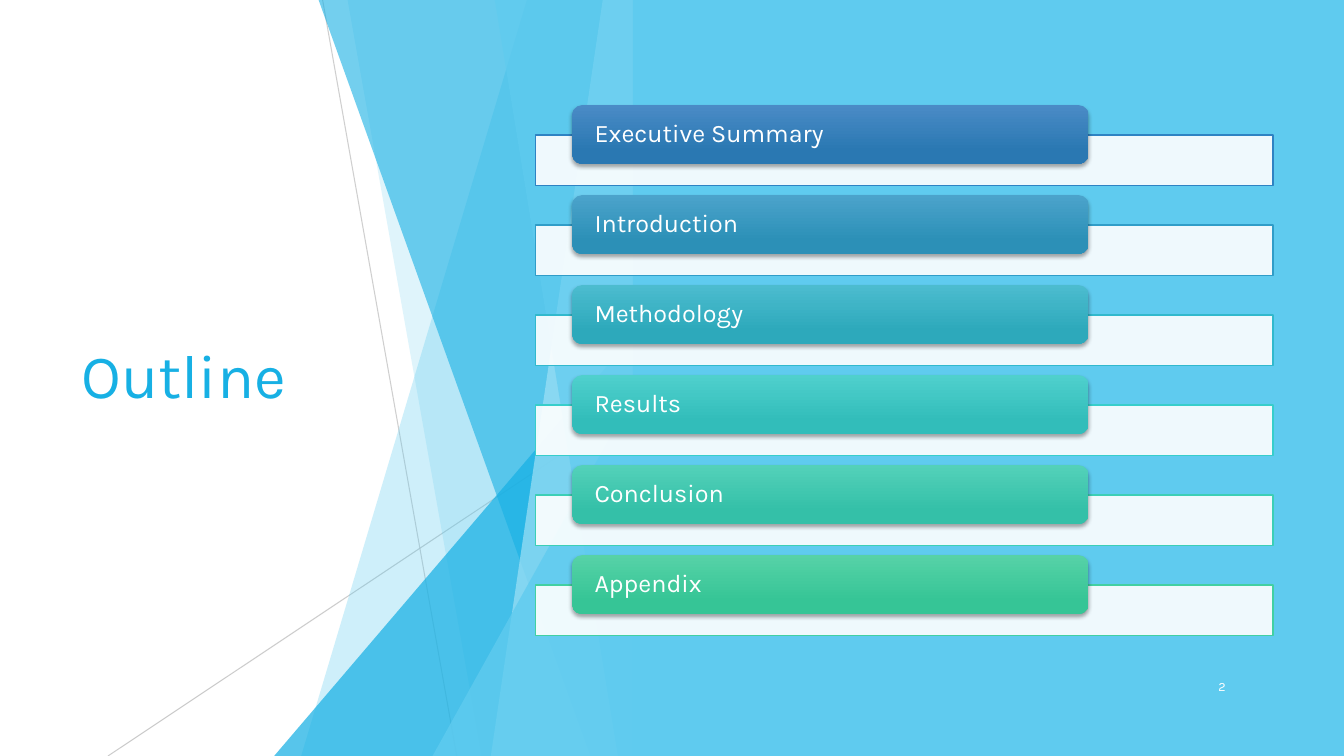
from dataclasses import dataclass

from pptx import Presentation
from pptx import util as u
from pptx.dml.color import RGBColor
from pptx.enum import shapes, text
from pptx.oxml import ns
from lxml import etree


@dataclass(frozen=True)
class Theme:
    """Colours, font and type sizes of the deck."""
    font: str = "Karla"
    white: str = "FFFFFF"
    sky: str = "5FCBEF"
    blue: str = "17B0E4"
    pale: str = "9FE0F5"
    grey: str = "BFBFBF"
    black: str = "000000"
    title: int = 44
    item: int = 18
    number: int = 9


T = Theme()

SECTIONS = [
    ("Executive Summary", "2E83C3", "4A8BC6", "2A78B2"),
    ("Introduction", "309DC8", "4BA3CB", "2C90B7"),
    ("Methodology", "31B9CD", "4CBCCF", "2DA9BB"),
    ("Results", "37CECB", "4FD0CD", "32BDBA"),
    ("Conclusion", "3CCFB6", "53D1B9", "34C0A8"),
    ("Appendix", "42D0A2", "56D2A7", "36C596"),
]


def add(parent, tag, **attrs):
    """Append a DrawingML child element."""
    return etree.SubElement(parent, ns.qn(tag), attrs)


def set_alpha(sp, percent):
    """Make the first solid colour of a shape or line translucent."""
    color = next(sp._element.spPr.iter(ns.qn("a:srgbClr")))
    add(color, "a:alpha", val=str(percent * 1000))


def paint(sp, color, alpha=100):
    """Give a shape a flat fill without outline or shadow."""
    sp.shadow.inherit = False
    sp.fill.solid()
    sp.fill.fore_color.rgb = RGBColor.from_string(color)
    sp.line.fill.background()
    if alpha < 100:
        set_alpha(sp, alpha)


def write(tf, words, size, color, align=text.PP_ALIGN.LEFT, spacing=None):
    """Fill a text frame with one vertically centred paragraph."""
    tf.word_wrap = True
    tf.auto_size = text.MSO_AUTO_SIZE.NONE
    tf.vertical_anchor = text.MSO_ANCHOR.MIDDLE
    p = tf.paragraphs[0]
    p.text = words
    p.alignment = align
    p.line_spacing = spacing
    p.space_after = u.Pt(6)
    p.font.name = T.font
    p.font.size = u.Pt(size)
    p.font.color.rgb = RGBColor.from_string(color)


def thin_line(s, x1, y1, x2, y2, alpha):
    """Draw a translucent grey hairline."""
    c = s.shapes.add_connector(shapes.MSO_CONNECTOR.STRAIGHT,
                               u.Cm(x1), u.Cm(y1), u.Cm(x2), u.Cm(y2))
    c.line.color.rgb = RGBColor.from_string(T.grey)
    c.line.width = u.Pt(0.75)
    set_alpha(c, alpha)
    add(c._element.spPr, "a:effectLst")


def facet(s, box, top_x, bottom_x, color, alpha):
    """Draw a facet from a slanted left edge to the right side of the box."""
    x, y, w, h = box
    points = [(top_x, 0), (w, 0), (w, h), (bottom_x, h)]
    corners = [(u.Cm(x + dx), u.Cm(y + dy)) for dx, dy in points]
    builder = s.shapes.build_freeform(*corners[0], scale=1.0)
    builder.add_line_segments(corners[1:], close=True)
    paint(builder.convert_to_shape(), color, alpha)


def wedge(s, box, dx, dy, color, alpha):
    """Draw a right triangle filling the lower right corner of the box."""
    x, y, w, h = box
    sp = s.shapes.add_shape(shapes.MSO_SHAPE.ISOSCELES_TRIANGLE,
                            u.Cm(x + dx), u.Cm(y + dy),
                            u.Cm(w - dx), u.Cm(h - dy))
    sp.adjustments[0] = 1
    paint(sp, color, alpha)


def backdrop(s, box):
    """Layer the hairlines and translucent facets in the box."""
    x, y, w, h = box
    thin_line(s, x + 5.41, y, x + 8.79, y + h, 75)
    thin_line(s, x + w, y + 10.24, x, y + h, 80)
    layers = [
        (facet, 10.56, 4.87, T.sky, 30),
        (facet, 6.04, 9.42, T.sky, 20),
        (wedge, 4.19, 8.46, T.blue, 72),
        (facet, 5.31, 12.16, T.blue, 60),
        (facet, 12.47, 9.65, T.pale, 70),
        (facet, 9.75, 12.85, T.sky, 65),
        (wedge, 8.18, 9.98, T.sky, 80),
    ]
    for draw, a, b, color, alpha in layers:
        draw(s, box, a, b, color, alpha)


def title(s, box):
    """Place and format the title placeholder."""
    sp = s.shapes.title
    sp.left, sp.top, sp.width, sp.height = map(u.Cm, box)
    write(sp.text_frame, "Outline", T.title, T.blue, spacing=0.9)


def panel(s, box):
    """Draw the plain panel on the right."""
    sp = s.shapes.add_shape(shapes.MSO_SHAPE.RECTANGLE, *map(u.Cm, box))
    paint(sp, T.sky)


def page_number(s, box):
    """Write the page number."""
    sp = s.shapes.add_textbox(*map(u.Cm, box))
    write(sp.text_frame, "2", T.number, T.white, text.PP_ALIGN.RIGHT)


def soft_shadow(sp):
    """Add a short shadow below a shape."""
    effects = sp._element.spPr.find(ns.qn("a:effectLst"))
    shadow = add(effects, "a:outerShdw", blurRad=str(u.Pt(3)),
                 dist=str(u.Pt(2)), dir="5400000", rotWithShape="0")
    color = add(shadow, "a:srgbClr", val=T.black)
    add(color, "a:alpha", val="35000")


def section(s, box, label, edge, light, dark):
    """Draw one outline entry: a bar with a labelled pill over its top edge."""
    x, y, w, h = box
    bar = s.shapes.add_shape(shapes.MSO_SHAPE.RECTANGLE, u.Cm(x),
                             u.Cm(y + 0.75), u.Cm(w), u.Cm(h - 0.75))
    paint(bar, T.white, 90)
    bar.line.color.rgb = RGBColor.from_string(edge)
    bar.line.width = u.Pt(1)

    pill = s.shapes.add_shape(shapes.MSO_SHAPE.ROUNDED_RECTANGLE,
                              u.Cm(x + w * 0.05), u.Cm(y),
                              u.Cm(w * 0.7), u.Cm(1.48))
    pill.shadow.inherit = False
    pill.line.fill.background()
    pill.fill.gradient()
    pill.fill.gradient_angle = 270
    for stop, color, pos in zip(pill.fill.gradient_stops, (light, dark), (0, 0.78)):
        stop.color.rgb = RGBColor.from_string(color)
        stop.position = pos
    soft_shadow(pill)
    tf = pill.text_frame
    tf.margin_left = tf.margin_right = u.Cm(0.49)
    tf.margin_top = tf.margin_bottom = 0
    write(tf, label, T.item, T.white, spacing=0.9)


def outline(s, box):
    """Stack the outline entries at an equal pitch."""
    x, y, w, h = box
    entry = 2.02
    pitch = (h - entry) / (len(SECTIONS) - 1)
    for i, (label, *colors) in enumerate(SECTIONS):
        section(s, (x, y + i * pitch, w, entry), label, *colors)


def main():
    """Build the outline slide."""
    prs = Presentation()
    prs.slide_width, prs.slide_height = u.Cm(33.87), u.Cm(19.05)
    s = prs.slides.add_slide(prs.slide_layouts[5])
    backdrop(s, (2.72, 0, 13.23, 19.05))
    title(s, (1.8, 3.84, 9.86, 11.38))
    panel(s, (15.95, 0, 17.92, 19.05))
    page_number(s, (29.24, 16.79, 1.9, 1.02))
    outline(s, (13.49, 2.65, 18.59, 13.36))
    prs.save("out.pptx")


if __name__ == "__main__":
    main()
